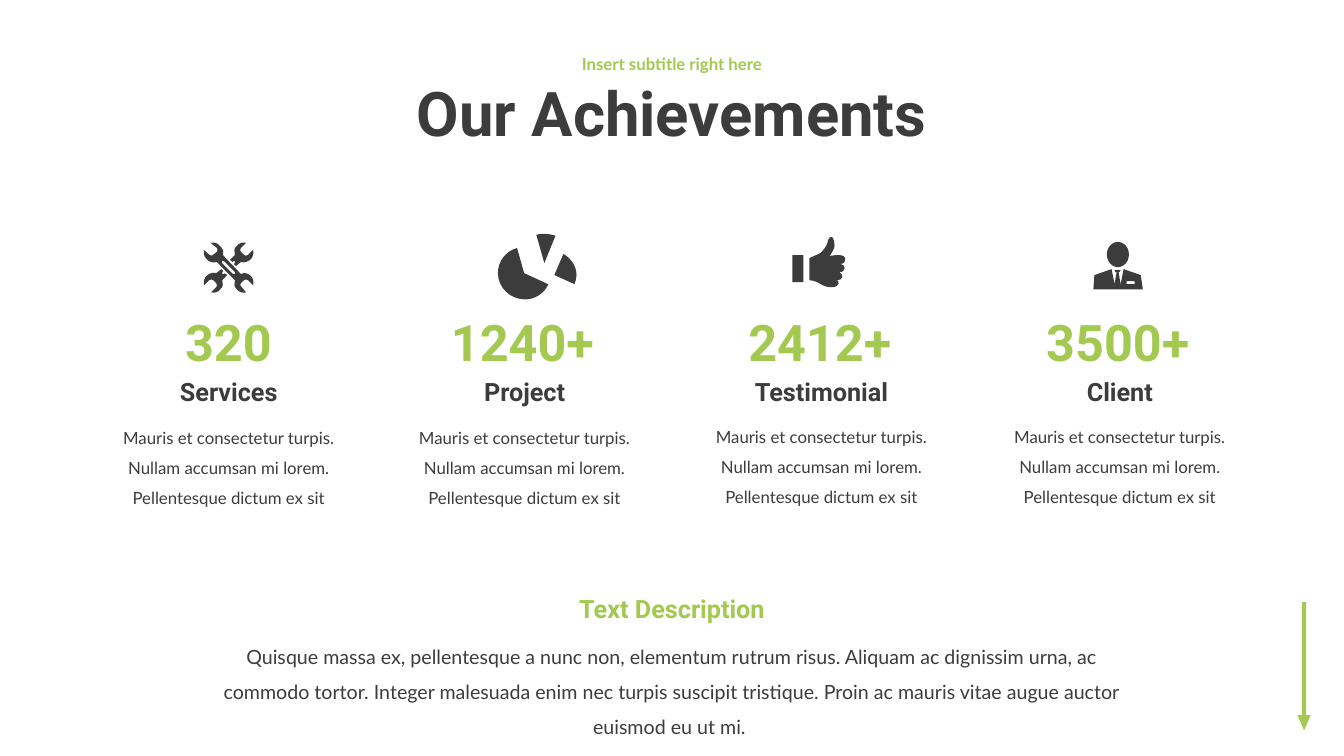
from lxml import etree
from pptx import Presentation
from pptx.dml.color import RGBColor
from pptx.enum.shapes import MSO_SHAPE as SHAPE
from pptx.enum.text import MSO_ANCHOR, MSO_AUTO_SIZE as AUTO_SIZE, PP_ALIGN
from pptx.oxml.ns import qn
from pptx.util import Pt

GREEN = RGBColor(0xA3, 0xC9, 0x51)
DARK = RGBColor(0x3C, 0x3C, 0x3C)
WHITE = RGBColor(0xFF, 0xFF, 0xFF)

CELL = 72  # one icon grid cell, in hundredths of a point

# Count, label, centre of the count, centre of the texts, top of the summary
ACHIEVEMENTS = [("320", "Services", 163.2, 163.4, 294.6),
                ("1240+", "Project", 373.3, 374.7, 294.6),
                ("2412+", "Testimonial", 585.7, 586.8, 293.9),
                ("3500+", "Client", 798.5, 799.9, 293.9)]
SUMMARY = ("Mauris et consectetur turpis. Nullam accumsan mi lorem. "
           "Pellentesque dictum ex sit")
DESCRIPTION = (
    "Quisque massa ex, pellentesque a nunc non, elementum rutrum risus. "
    "Aliquam ac dignissim urna, ac commodo tortor. Integer malesuada enim nec "
    "turpis suscipit tristique. Proin ac mauris vitae augue auctor euismod eu ut mi. ")

# Contours on the icon grid: a pair is a corner, six numbers are a Bézier curve.
WRENCH_HEAD = [
    (29, 20), (29, 19), (30, 19, 30, 19, 31, 19), (31, 20, 31, 20, 31, 21),
    (30, 22), (32, 24), (37, 20), (40, 21, 44, 20, 47, 17),
    (49, 15, 50, 11, 49, 8), (44, 13), (43, 14, 41, 14, 40, 13), (37, 10),
    (36, 9, 36, 7, 37, 6), (42, 1), (39, 0, 35, 1, 33, 4),
    (30, 6, 30, 10, 31, 13), (26, 18)]
WRENCH = [
    (47, 34), (44, 31, 40, 30, 37, 32), (19, 13), (20, 10, 19, 6, 16, 4),
    (14, 1, 10, 0, 7, 1), (13, 6), (14, 7, 14, 9, 13, 10), (9, 13),
    (8, 14, 7, 14, 6, 13), (0, 8), (0, 11, 0, 15, 3, 17),
    (5, 20, 9, 21, 13, 20), (31, 38), (30, 41, 30, 45, 33, 47),
    (35, 50, 39, 51, 42, 50), (37, 44), (36, 43, 36, 42, 37, 41), (40, 38),
    (41, 37, 43, 37, 44, 38), (49, 43), (50, 40, 49, 36, 47, 34)]
WRENCH_SLOT = [
    (31, 32), (30, 32, 30, 32, 29, 32), (18, 21), (18, 20, 18, 20, 18, 19),
    (19, 19, 20, 19, 20, 19), (31, 30), (31, 30, 31, 31, 31, 32)]
PIE_RIGHT = [(28, 31), (48, 40), (49, 37, 50, 34, 50, 31), (50, 22, 44, 14, 37, 10)]
PIE_BODY = [(26, 32), (19, 7), (8, 10, 0, 20, 0, 32), (0, 46, 12, 58, 27, 58),
            (37, 58, 46, 52, 50, 43)]
PIE_WEDGE = [(27, 29), (38, 2), (35, 1, 31, 0, 26, 0), (24, 0, 22, 0, 19, 1)]
THUMB = [
    (51, 19), (48, 17, 37, 19, 37, 19), (39, 17, 42, 11, 42, 9),
    (42, 6, 41, 0, 39, 0), (36, 0, 35, 5, 35, 6), (34, 10, 30, 14, 28, 16),
    (24, 18, 22, 19, 17, 21), (17, 43), (20, 43, 22, 44, 25, 45),
    (30, 48, 33, 50, 39, 50), (48, 50, 47, 43, 44, 43),
    (51, 43, 51, 38, 47, 35), (54, 35, 53, 27, 48, 27),
    (53, 27, 54, 21, 51, 19)]
SUIT = [(47, 33), (30, 27), (27, 42), (25, 30), (26, 30), (27, 28), (21, 28),
        (22, 30), (23, 30), (21, 42), (18, 27), (1, 33), (0, 47), (49, 47)]
POCKET = [(41, 42), (33, 42), (33, 39), (37, 39), (41, 39)]


def half_turn(contour):
    """Turn a wrench head round the middle of the tools icon."""
    return [tuple((49.5, 51)[i % 2] - v for i, v in enumerate(step))
            for step in contour]


def paint(shape, color):
    shape.shadow.inherit = False
    shape.fill.solid()
    shape.fill.fore_color.rgb = color
    shape.line.fill.background()
    return shape


def add_solid(slide, kind, left, top, width, height, color):
    return paint(slide.shapes.add_shape(
        kind, Pt(left), Pt(top), Pt(width), Pt(height)), color)


def bend(outline, contours):
    """Turn the straight segments of an outline into the curves of its contours."""
    ends = [step[-2:] for contour in contours for step in contour]
    left, top = (min(values) for values in zip(*ends))
    lines = outline.element.iter(qn("a:lnTo"))
    steps = [step for contour in contours for step in contour[1:]]
    for line, step in zip(list(lines), steps):
        if len(step) == 2:
            continue
        line.tag = qn("a:cubicBezTo")
        for i in (0, 2):
            point = etree.Element(qn("a:pt"), x=str(round((step[i] - left) * CELL)),
                                  y=str(round((step[i + 1] - top) * CELL)))
            line.insert(i // 2, point)


def add_outline(slide, left, top, *contours):
    """Draw contours as one dark shape; a second contour is a hole."""
    builder = None
    for contour in contours:
        start, *rest = [(left * 100 + step[-2] * CELL, top * 100 + step[-1] * CELL)
                        for step in contour]
        if builder is None:
            builder = slide.shapes.build_freeform(*start, scale=Pt(0.01))
        else:
            builder.move_to(*start)
        builder.add_line_segments(rest, close=False)
        builder.add_line_segments([], close=True)
    outline = paint(builder.convert_to_shape(), DARK)
    bend(outline, contours)


def write(shape, text, font, size, color, bold=True, spacing=1.0):
    frame = shape.text_frame
    frame.text = text
    frame.word_wrap = True
    paragraph = frame.paragraphs[0]
    paragraph.alignment = PP_ALIGN.CENTER
    paragraph.line_spacing = spacing
    paragraph.space_before = Pt(0)
    run_font = paragraph.runs[0].font
    run_font.name, run_font.size, run_font.bold = font, Pt(size), bold
    run_font.color.rgb = color


def add_label(slide, centre, top, width, height, *style, **options):
    box = slide.shapes.add_textbox(
        Pt(centre - width / 2), Pt(top), Pt(width), Pt(height))
    write(box, *style, **options)
    box.text_frame.auto_size = AUTO_SIZE.SHAPE_TO_FIT_TEXT


def fill_heading(heading, top, height, *style):
    heading.left, heading.top = Pt(210), Pt(top)
    heading.width, heading.height = Pt(540), Pt(height)
    write(heading, *style, spacing=0.9)
    heading.text_frame.vertical_anchor = MSO_ANCHOR.MIDDLE
    heading.text_frame.auto_size = AUTO_SIZE.NONE


def add_band(slide):
    band = add_solid(slide, SHAPE.RECTANGLE, 0, 139.7, 960, 251.3, WHITE)
    color = next(band.element.iter(qn("a:srgbClr")))
    etree.SubElement(color, qn("a:alpha"), val="85000")


def add_down_arrow(slide):
    add_solid(slide, SHAPE.RECTANGLE, 930.2, 430.1, 2.9, 81, GREEN)
    head = add_solid(slide, SHAPE.ISOSCELES_TRIANGLE, 926.8, 510.9, 9.4, 10.8, GREEN)
    head.rotation = 180


def add_icons(slide):
    add_outline(slide, 375.8, 174.2, PIE_RIGHT)
    add_outline(slide, 355.7, 172.1, PIE_BODY)
    add_outline(slide, 369.4, 167, PIE_WEDGE)
    for tool_part in ([WRENCH_HEAD], [half_turn(WRENCH_HEAD)], [WRENCH, WRENCH_SLOT]):
        add_outline(slide, 145.5, 172.8, *tool_part)
    add_outline(slide, 565.9, 169.2, THUMB)
    add_solid(slide, SHAPE.RECTANGLE, 565.9, 182.2, 7.9, 19.4, DARK)
    add_outline(slide, 781, 172.8, SUIT, POCKET)
    add_solid(slide, SHAPE.OVAL, 790.6, 172.8, 15.8, 18, DARK)


def add_achievement(slide, count, label, count_centre, centre, summary_top):
    add_label(slide, centre, 265.3, 176, 28.8, label, "Roboto", 18, DARK)
    add_label(slide, count_centre, 218.9, 169, 51.1, count, "Roboto", 36, GREEN)
    add_label(slide, centre, summary_top, 188.6, 70.6, SUMMARY, "Lato", 12, DARK,
              bold=False, spacing=1.5)


def main():
    deck = Presentation()
    deck.slide_width, deck.slide_height = Pt(960), Pt(540)
    slide = deck.slides.add_slide(deck.slide_layouts[0])
    fill_heading(slide.shapes.title, 46.1, 74.2, "Our Achievements", "Roboto", 44, DARK)
    fill_heading(slide.placeholders[1], 32.8, 27.4,
                 "Insert subtitle right here", "Lato", 12, GREEN)
    add_down_arrow(slide)
    add_band(slide)
    add_icons(slide)
    for achievement in ACHIEVEMENTS:
        add_achievement(slide, *achievement)
    add_label(slide, 480, 448.6, 684, 55.4, DESCRIPTION, "Lato", 14, DARK,
              bold=False, spacing=1.5)
    add_label(slide, 480, 420.5, 210, 28.8, "Text Description", "Roboto", 18, GREEN)
    deck.save("out.pptx")


if __name__ == "__main__":
    main()
